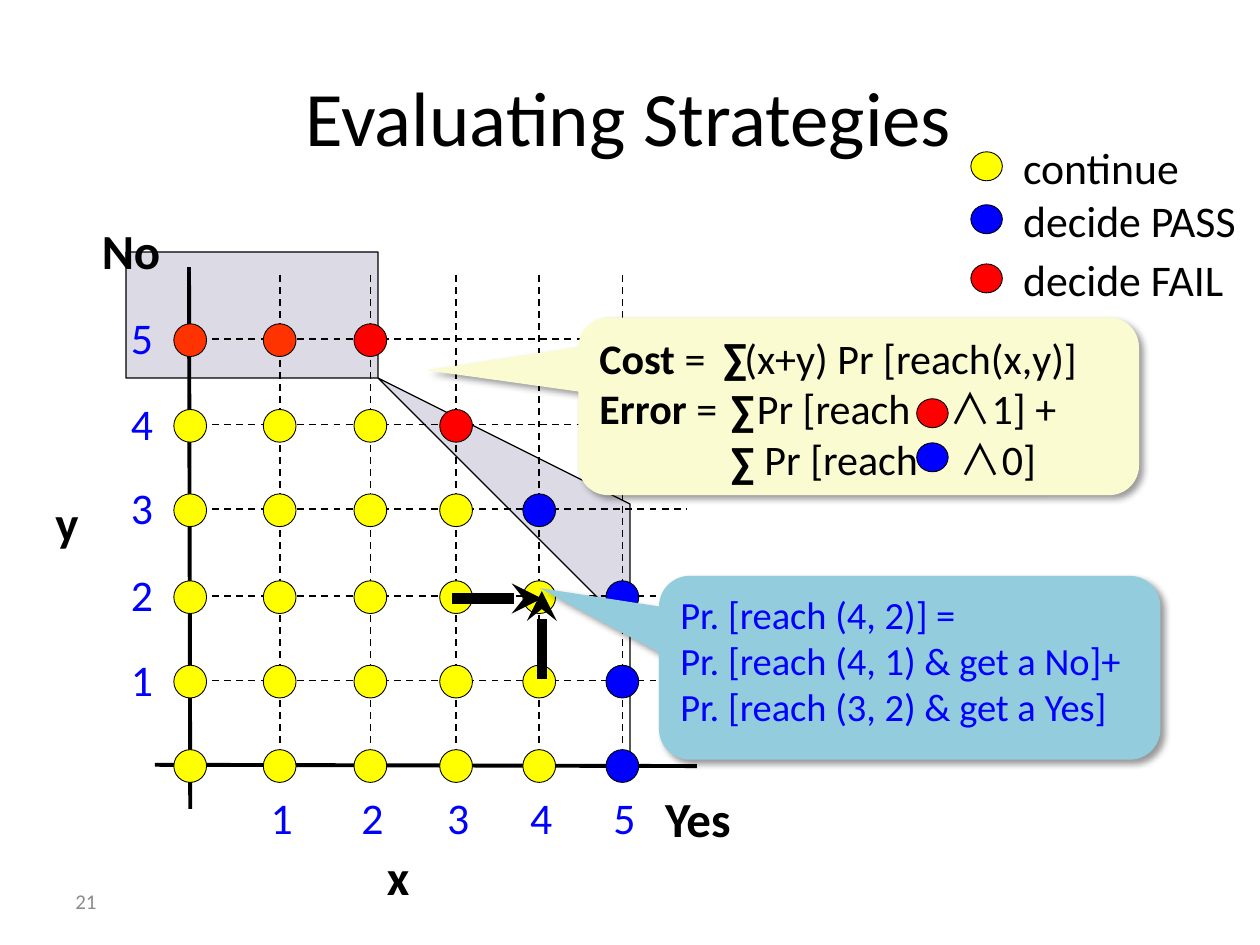
import pptx
import pptx.util
import pptx.dml.color
import pptx.enum.dml
import pptx.enum.shapes
import pptx.enum.text
import pptx.oxml
import pptx.oxml.ns
from lxml import etree

Inches = pptx.util.Inches
Pt = pptx.util.Pt
RGBColor = pptx.dml.color.RGBColor
SHAPE = pptx.enum.shapes.MSO_SHAPE
qn = pptx.oxml.ns.qn

BLACK = RGBColor(0x00, 0x00, 0x00)
GREY = RGBColor(0x8C, 0x8C, 0x8C)
YELLOW = RGBColor(0xFF, 0xFF, 0x00)
BLUE = RGBColor(0x00, 0x00, 0xFF)
RED = RGBColor(0xFF, 0x00, 0x00)
ORANGE = RGBColor(0xFF, 0x33, 0x00)
LAVENDER = RGBColor(0x3D, 0x33, 0x74)
SKY = RGBColor(0x93, 0xCD, 0xDD)
CREAM = RGBColor(0xFB, 0xFB, 0xD1)
FONT = "Calibri"
MATH_FONT = "Noto Sans CJK JP"

deck = pptx.Presentation()
deck.slide_width, deck.slide_height = Inches(10), Inches(7.5)
slide = deck.slides.add_slide(deck.slide_layouts[5])
shapes = slide.shapes


def add_line(start, end, width, dashed=False, arrow=False):
    line = shapes.add_connector(
        pptx.enum.shapes.MSO_CONNECTOR.STRAIGHT, *map(Inches, start + end))
    line.line.color.rgb = BLACK
    line.line.width = Pt(width)
    if dashed:
        line.line.dash_style = pptx.enum.dml.MSO_LINE.DASH
    if arrow:
        etree.SubElement(line.line._get_or_add_ln(), qn("a:tailEnd"), type="stealth")
    etree.SubElement(line._element.spPr, qn("a:effectLst"))


def add_dot(x, y, width, height, colour):
    dot = shapes.add_shape(SHAPE.OVAL, Inches(x - width / 2), Inches(y - height / 2),
                           Inches(width), Inches(height))
    dot.shadow.inherit = False
    dot.fill.solid()
    dot.fill.fore_color.rgb = colour
    dot.line.color.rgb = BLACK
    dot.line.width = Pt(0.5)


title = shapes.title
title.left, title.top, title.width, title.height = map(Inches, (0.49, 0.29, 9, 1.25))
title.text_frame.text = "Evaluating Strategies"
title_font = title.text_frame.paragraphs[0].font
title_font.name, title_font.size, title_font.color.rgb = FONT, Pt(44), BLACK

boundary = [(1.31, 2.39), (2.92, 2.35), (3.3, 2.52), (5.19, 4.5), (5.29, 4.73),
            (5.31, 6.1), (5.17, 6.34), (4.79, 6.35), (4.65, 6.26), (4.63, 4.86),
            (2.9, 3.01), (2.71, 2.98), (1.32, 2.97), (1.28, 2.61), (1.28, 2.45)]
outline = shapes.build_freeform(*boundary[0], scale=Inches(1))
outline.add_line_segments(boundary[1:], close=True)
stopping_region = outline.convert_to_shape()
stopping_region.shadow.inherit = False
stopping_region.fill.solid()
stopping_region.fill.fore_color.rgb = LAVENDER
region_colour = stopping_region._element.spPr.find(".//" + qn("a:srgbClr"))
etree.SubElement(region_colour, qn("a:alpha"), val="18000")
stopping_region.line.color.rgb = BLACK
stopping_region.line.width = Pt(0.75)

columns = [1.51, 2.22, 2.94, 3.62, 4.28, 4.94]
rows = [6.07, 5.4, 4.73, 4.04, 3.37, 2.69]
add_line((1.5, 2.12), (1.51, 6.42), 2.25)
add_line((1.23, 6.07), (5.53, 6.08), 2.25)
for x in columns[1:]:
    add_line((x, 2.18), (x, 6.12), 1, dashed=True)
for y in rows[1:]:
    add_line((1.49, y), (5.45, y), 1, dashed=True)

yes_row = [YELLOW] * 5 + [BLUE]
decisions = [yes_row, yes_row, yes_row, [YELLOW] * 4 + [BLUE],
             [YELLOW] * 3 + [RED], [ORANGE, ORANGE, RED]]
for y, decision_row in zip(rows, decisions):
    for x, decision in zip(columns, decision_row):
        add_dot(x, y + 0.01, 0.26, 0.26, decision)

labels = [
    ("Yes", 5.18, 6.21, 0.77, 0.57, 28, BLACK, True, 0.1),
    ("No", 0.71, 1.7, 0.67, 0.57, 28, BLACK, True, 0.1),
    ("y", 0.37, 3.87, 0.33, 0.54, 28, BLACK, True, 0.07),
    ("x", 3, 6.68, 0.32, 0.54, 28, BLACK, True, 0.07),
    ("21", 0.5, 7, 2.33, 0.3, 12, GREY, False, 0.1),
]
for number in range(1, 6):
    labels.append((str(number), columns[number] - 0.17, 6.23, 0.38, 0.52,
                   25, BLUE, False, 0.1))
    labels.append((str(number), 0.94, rows[number] - 0.27, 0.38, 0.52,
                   25, BLUE, False, 0.1))
for meaning, top, width, colour in [("continue", 1.05, 1.54, YELLOW),
                                    ("decide PASS", 1.47, 2.02, BLUE),
                                    ("decide FAIL", 1.94, 1.91, RED)]:
    add_dot(7.83, top + 0.27, 0.25, 0.23, colour)
    labels.append((meaning, 7.98, top, width, 0.56, 25, BLACK, False, 0.14))
for left, top in [(5.64, 2.58), (5.7, 2.99), (5.7, 3.4)]:
    labels.append(("∑", left, top, 0.55, 0.53, 25, BLACK, True, 0.1))

add_line((3.59, 4.75), (4.3, 4.75), 5.75, arrow=True)

reach_lines = [
    ([], ["", "Pr. [reach (4, 2)] ="]),
    ([], ["", "Pr. [reach (4, 1) & get a No]+ Pr. [reach (3, 2) & get a Yes]"]),
]
cost_lines = [
    ([1.15], ["Cost", " =\t(x+y) Pr [reach(x,y)]"]),
    ([1.25, 2.78], ["Error", " =\tPr [reach\t", "∧", "1] +"]),
    ([1.31, 2.86], ["", "\tPr [reach\t", "∧", "0]"]),
]
callouts = [
    ((5.23, 4.57, 3.98, 1.46), (-0.738, -0.433, 0.167), SKY, 22, BLUE, reach_lines),
    ((4.59, 2.52, 4.45, 1.41), (-0.771, -0.203, 0.167), CREAM, 24, BLACK, cost_lines),
]
for place, pointer, fill, size, colour, lines in callouts:
    callout = shapes.add_shape(SHAPE.ROUNDED_RECTANGULAR_CALLOUT, *map(Inches, place))
    for index, value in enumerate(pointer):
        callout.adjustments[index] = value
    callout.fill.solid()
    callout.fill.fore_color.rgb = fill
    callout.line.fill.background()
    callout.shadow.inherit = False
    shadow = etree.SubElement(callout._element.spPr.find(qn("a:effectLst")),
                              qn("a:outerShdw"), blurRad=str(Pt(4)), dist=str(Pt(3)),
                              dir="2700000", algn="tl", rotWithShape="0")
    shadow_colour = etree.SubElement(shadow, qn("a:srgbClr"), val="000000")
    etree.SubElement(shadow_colour, qn("a:alpha"), val="40000")
    frame = callout.text_frame
    frame.word_wrap = True
    frame.vertical_anchor = pptx.enum.text.MSO_ANCHOR.TOP
    for index, (tabs, pieces) in enumerate(lines):
        paragraph = frame.add_paragraph() if index else frame.paragraphs[0]
        paragraph.alignment = pptx.enum.text.PP_ALIGN.LEFT
        if tabs:
            tab_list = etree.SubElement(paragraph._p.get_or_add_pPr(), qn("a:tabLst"))
            for tab in tabs:
                etree.SubElement(tab_list, qn("a:tab"), pos=str(Inches(tab)), algn="l")
        font = paragraph.font
        font.name, font.size, font.color.rgb = FONT, Pt(size), colour
        for position, piece in enumerate(pieces):
            if piece:
                run = paragraph.add_run()
                run.text = piece
                if position == 0:
                    run.font.bold = True
                if piece == "∧":
                    run.font.name = MATH_FONT

add_line((4.3, 5.39), (4.3, 4.69), 5.75, arrow=True)
add_dot(7.4, 3.63, 0.25, 0.23, BLUE)
add_dot(7.4, 3.28, 0.25, 0.23, RED)

for text, left, top, width, height, size, colour, bold, inset in labels:
    label = shapes.add_textbox(*map(Inches, (left, top, width, height)))
    frame = label.text_frame
    frame.word_wrap = False
    frame.margin_left = frame.margin_right = Inches(inset)
    frame.margin_top = frame.margin_bottom = Inches(inset / 2)
    frame.text = text
    font = frame.paragraphs[0].font
    font.name, font.size, font.bold, font.color.rgb = FONT, Pt(size), bold, colour

deck.save("out.pptx")
